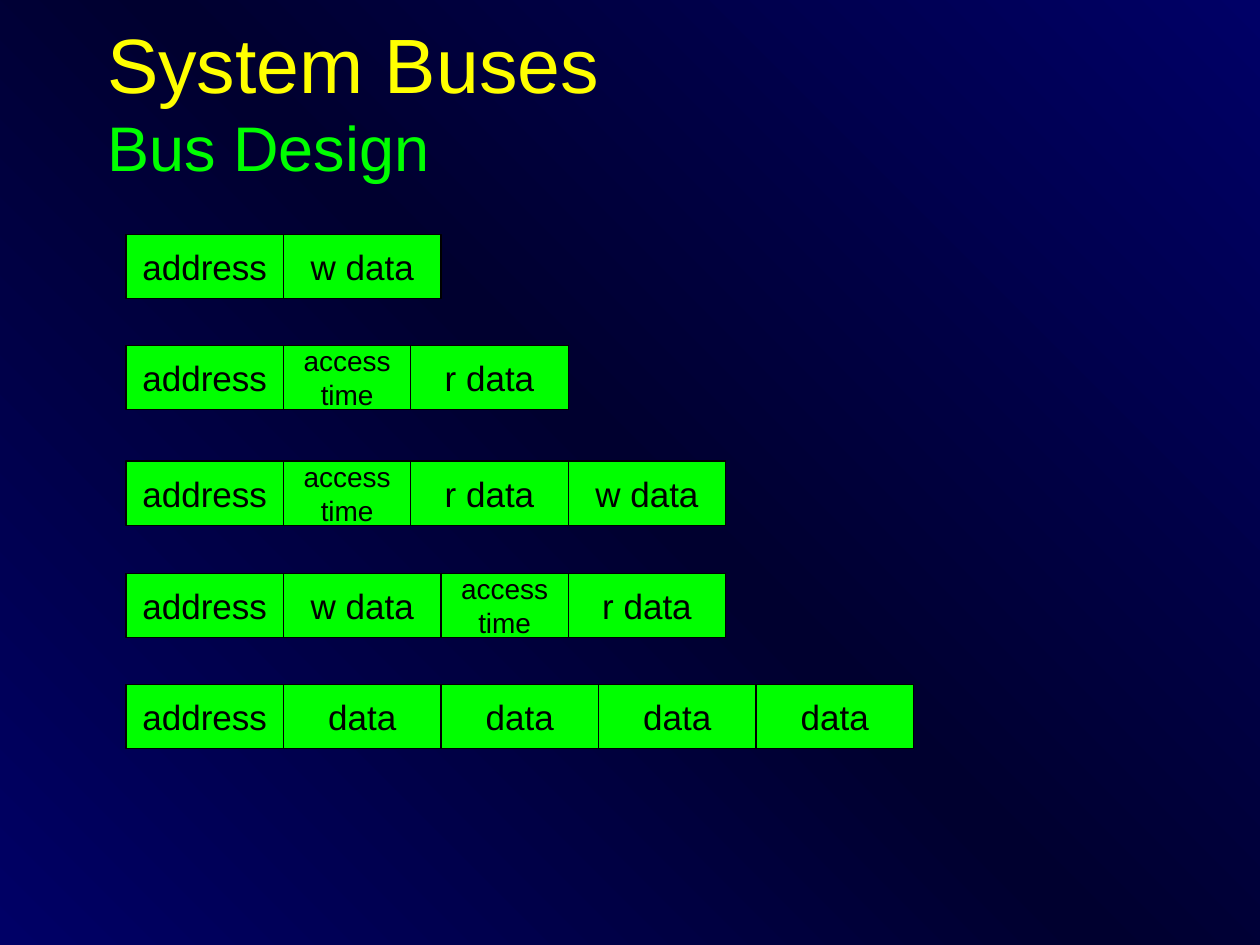
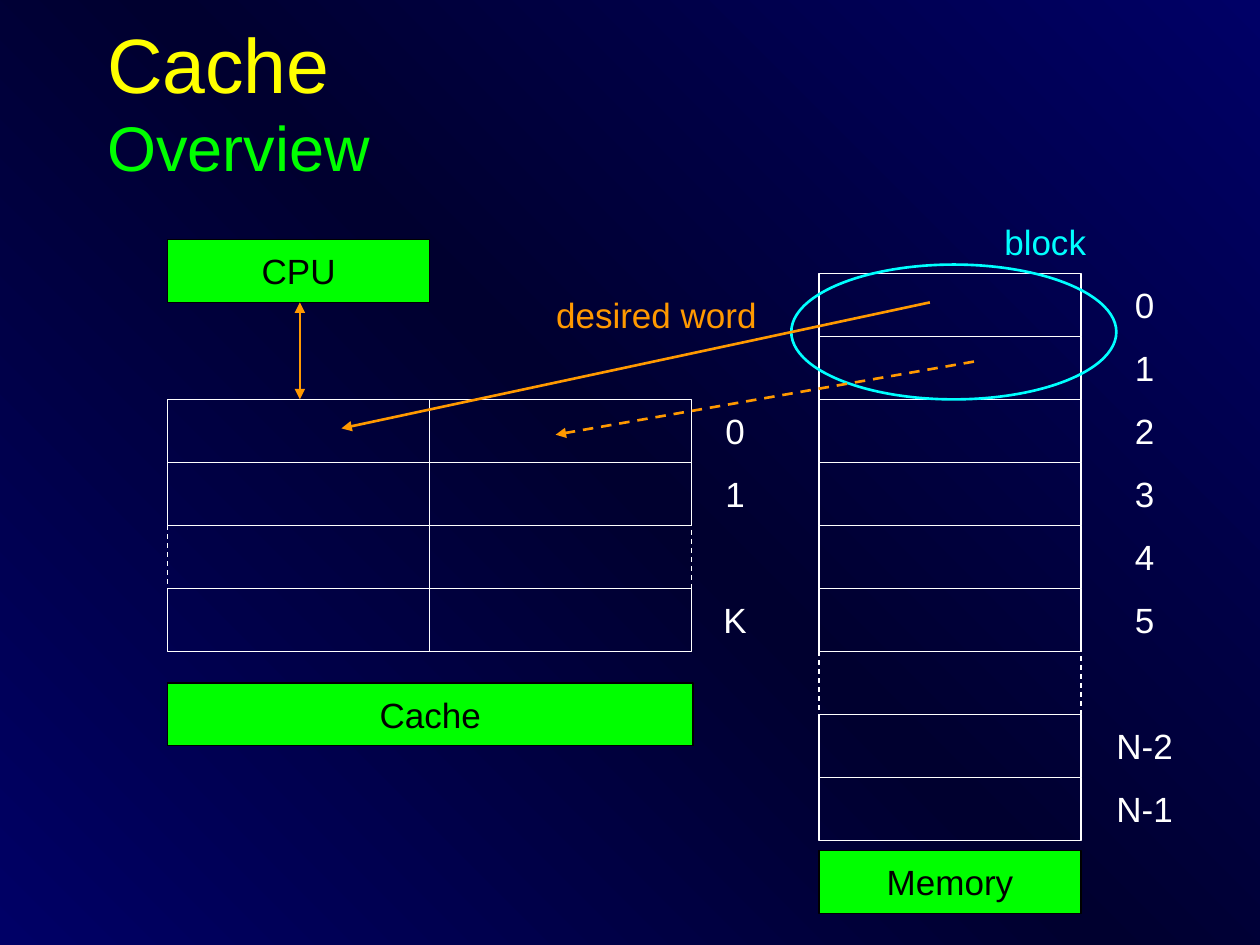
from copy import deepcopy

from lxml import etree
from pptx import Presentation
from pptx.dml.color import RGBColor
from pptx.enum.dml import MSO_LINE
from pptx.enum.shapes import MSO_CONNECTOR, MSO_SHAPE
from pptx.enum.text import MSO_ANCHOR, MSO_AUTO_SIZE, PP_ALIGN
from pptx.oxml.ns import qn
from pptx.util import Inches, Pt

RECT, OVAL = MSO_SHAPE.RECTANGLE, MSO_SHAPE.OVAL
STRAIGHT, DASH = MSO_CONNECTOR.STRAIGHT, MSO_LINE.DASH
LEFT, CENTER = PP_ALIGN.LEFT, PP_ALIGN.CENTER
MIDDLE, NO_AUTOFIT = MSO_ANCHOR.MIDDLE, MSO_AUTO_SIZE.NONE

NAVY = RGBColor(0x00, 0x00, 0x66)
MIDNIGHT = RGBColor(0x00, 0x00, 0x2F)
YELLOW = RGBColor(0xFF, 0xFF, 0x00)
GREEN = RGBColor(0x00, 0xFF, 0x00)
CYAN = RGBColor(0x00, 0xFF, 0xFF)
ORANGE = RGBColor(0xFF, 0x99, 0x00)
WHITE = RGBColor(0xFF, 0xFF, 0xFF)
BLACK = RGBColor(0x00, 0x00, 0x00)
FONT = "Arial"

# Bus transfers: top of each row and its phases in time order
ACCESS = "access\vtime"
TRANSFERS = [
    (1.86, ["address", "w data"]),
    (2.74, ["address", ACCESS, "r data"]),
    (3.66, ["address", ACCESS, "r data", "w data"]),
    (4.55, ["address", "w data", ACCESS, "r data"]),
    (5.43, ["address", "data", "data", "data", "data"]),
]
BUS_LEFT, PHASE_W, ACCESS_W, PHASE_H = 1, 1.25, 1.01, 0.51

# Cache and memory: None stands for the rows left out
CACHE_ROWS = ["0", "1", None, "K"]
MEMORY_ROWS = ["0", "1", "2", "3", "4", "5", None, "N-2", "N-1"]
CACHE_LEFT, CACHE_TOP = 1.33, 3.17
MEMORY_LEFT, MEMORY_TOP = 6.5, 2.17
CELL_W, CELL_H, LABEL_W = 2.08, 0.5, 0.67
GREEN_BOXES = [
    ("CPU", CACHE_LEFT, 1.9, CELL_W),
    ("Cache", CACHE_LEFT, 5.42, 4.17),
    ("Memory", MEMORY_LEFT, 6.75, CELL_W),
]
CALLOUTS = [
    ("desired word", 4.17, 2.25, 2.08, ORANGE),
    ("block", 7.67, 1.67, 1.25, CYAN),
]
# start, end, dashed, arrowheads
ARROWS = [
    ((7.38, 2.4), (2.71, 3.4), False, ["tailEnd"]),
    ((7.73, 2.87), (4.41, 3.45), True, ["tailEnd"]),
    ((2.38, 2.4), (2.38, 3.17), False, ["headEnd", "tailEnd"]),
]


def set_background(master):
    fill = master.background.fill
    fill.gradient()
    fill.gradient_angle = 225
    first = master.element.find(".//" + qn("a:gs"))
    first.addnext(deepcopy(first))
    for stop, position, color in zip(fill.gradient_stops, (0, 0.5, 1), (NAVY, MIDNIGHT, NAVY)):
        stop.position = position
        stop.color.rgb = color


def format_run(r, size, color):
    r.font.name = FONT
    r.font.size = Pt(size)
    r.font.color.rgb = color


def add_slide(prs, title, subtitle):
    s = prs.slides.add_slide(prs.slide_layouts[5])
    sp = s.shapes.title
    sp.left, sp.top, sp.width, sp.height = map(Inches, (0.75, 0.17, 8.5, 1.25))
    tf = sp.text_frame
    tf.text = f"{title}\v{subtitle}"
    tf.auto_size = NO_AUTOFIT
    tf.vertical_anchor = MIDDLE
    p = tf.paragraphs[0]
    p.alignment = LEFT
    for r, size, color in zip(p.runs, (44, 36), (YELLOW, GREEN)):
        format_run(r, size, color)
    return s


def set_text(sp, text, color, size=20):
    tf = sp.text_frame
    tf.text = text
    tf.word_wrap = False
    tf.vertical_anchor = MIDDLE
    p = tf.paragraphs[0]
    p.alignment = CENTER
    for r in p.runs:
        format_run(r, size, color)


def add_label(s, text, left, top, width, color):
    sp = s.shapes.add_textbox(*map(Inches, (left, top, width, CELL_H)))
    set_text(sp, text, color)


def add_outline(s, kind, box, color, weight=0.75):
    sp = s.shapes.add_shape(kind, *map(Inches, box))
    sp.shadow.inherit = False
    sp.fill.background()
    sp.line.color.rgb = color
    sp.line.width = Pt(weight)
    return sp


def add_green_box(s, text, left, top, width, height, size=20):
    sp = add_outline(s, RECT, (left, top, width, height), BLACK)
    sp.fill.solid()
    sp.fill.fore_color.rgb = GREEN
    set_text(sp, text, BLACK, size)


def add_arrow(s, start, end, dashed, heads):
    line = s.shapes.add_connector(STRAIGHT, *map(Inches, start + end))
    line.line.color.rgb = ORANGE
    line.line.width = Pt(1.5)
    if dashed:
        line.line.dash_style = DASH
    for head in heads:
        etree.SubElement(line.line._get_or_add_ln(), qn(f"a:{head}"), type="triangle")
    etree.SubElement(line._element.spPr, qn("a:effectLst"))


def add_stack(s, left, top, columns, rows, label_left):
    # The dashed gap goes first so that solid cells cover its edges
    for i, label in sorted(enumerate(rows), key=lambda row: row[1] is not None):
        y = top + i * CELL_H
        for column in range(columns):
            box = (left + column * CELL_W, y, CELL_W, CELL_H)
            sp = add_outline(s, RECT, box, WHITE)
            if label is None:
                sp.line.dash_style = DASH
        if label is not None:
            add_label(s, label, label_left, y, LABEL_W, WHITE)


def build_bus_design(prs):
    s = add_slide(prs, "System Buses", "Bus Design")
    for top, phases in TRANSFERS:
        left = BUS_LEFT
        for phase in phases:
            width, size = (ACCESS_W, 16) if phase == ACCESS else (PHASE_W, 20)
            add_green_box(s, phase, left, top, width, PHASE_H, size)
            left += width


def build_cache_overview(prs):
    s = add_slide(prs, "Cache", "Overview")
    add_stack(s, MEMORY_LEFT, MEMORY_TOP, 1, MEMORY_ROWS, 8.75)
    add_stack(s, CACHE_LEFT, CACHE_TOP, 2, CACHE_ROWS, 5.5)
    for text, left, top, width in GREEN_BOXES:
        add_green_box(s, text, left, top, width, CELL_H)
    # Block marker, word transfers and their captions
    add_outline(s, OVAL, (6.28, 2.1, 2.58, 1.07), CYAN, 1.5)
    for arrow in ARROWS:
        add_arrow(s, *arrow)
    for callout in CALLOUTS:
        add_label(s, *callout)


def main():
    prs = Presentation()
    prs.slide_width, prs.slide_height = Inches(10), Inches(7.5)
    set_background(prs.slide_master)
    build_bus_design(prs)
    build_cache_overview(prs)
    prs.save("out.pptx")


if __name__ == "__main__":
    main()
